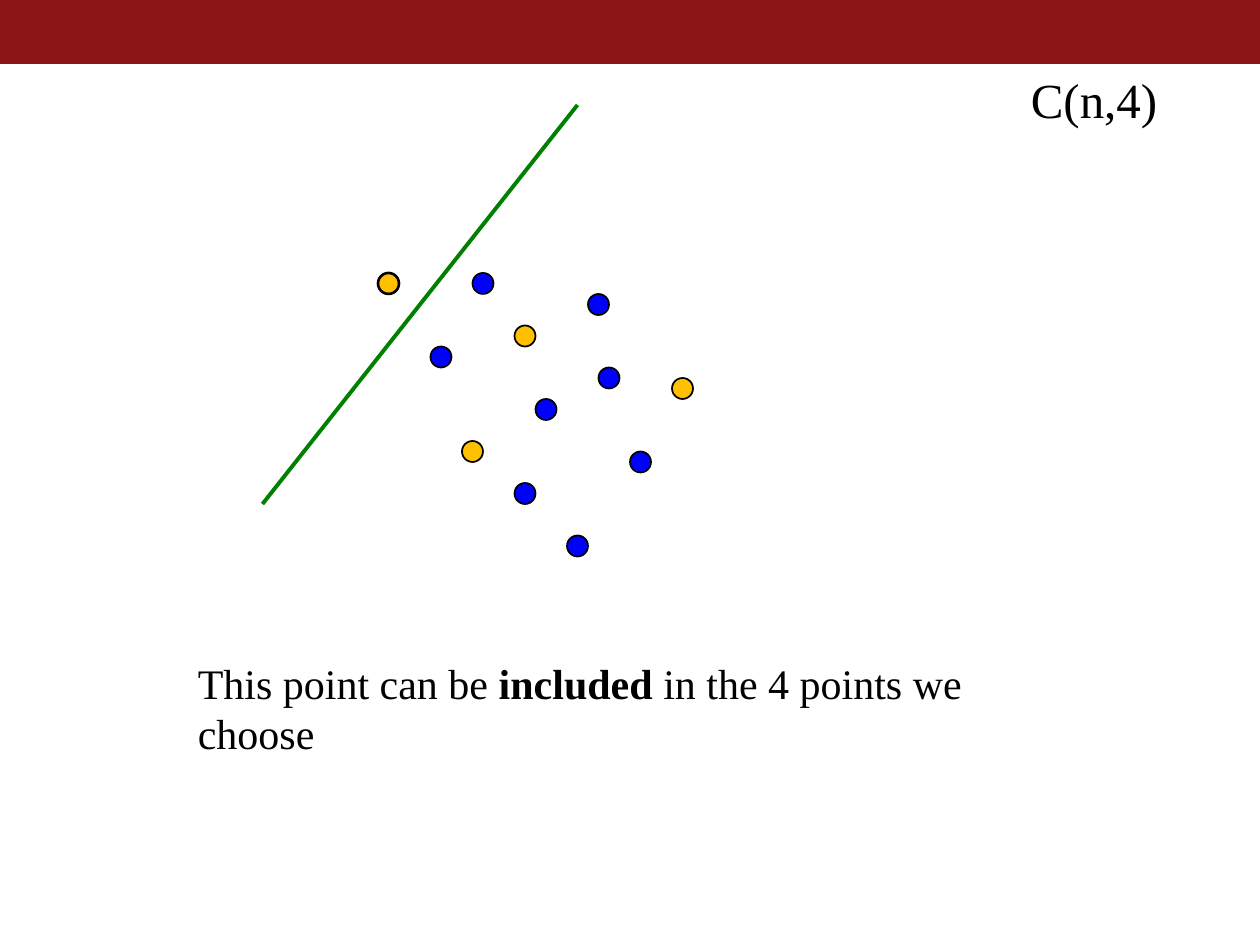
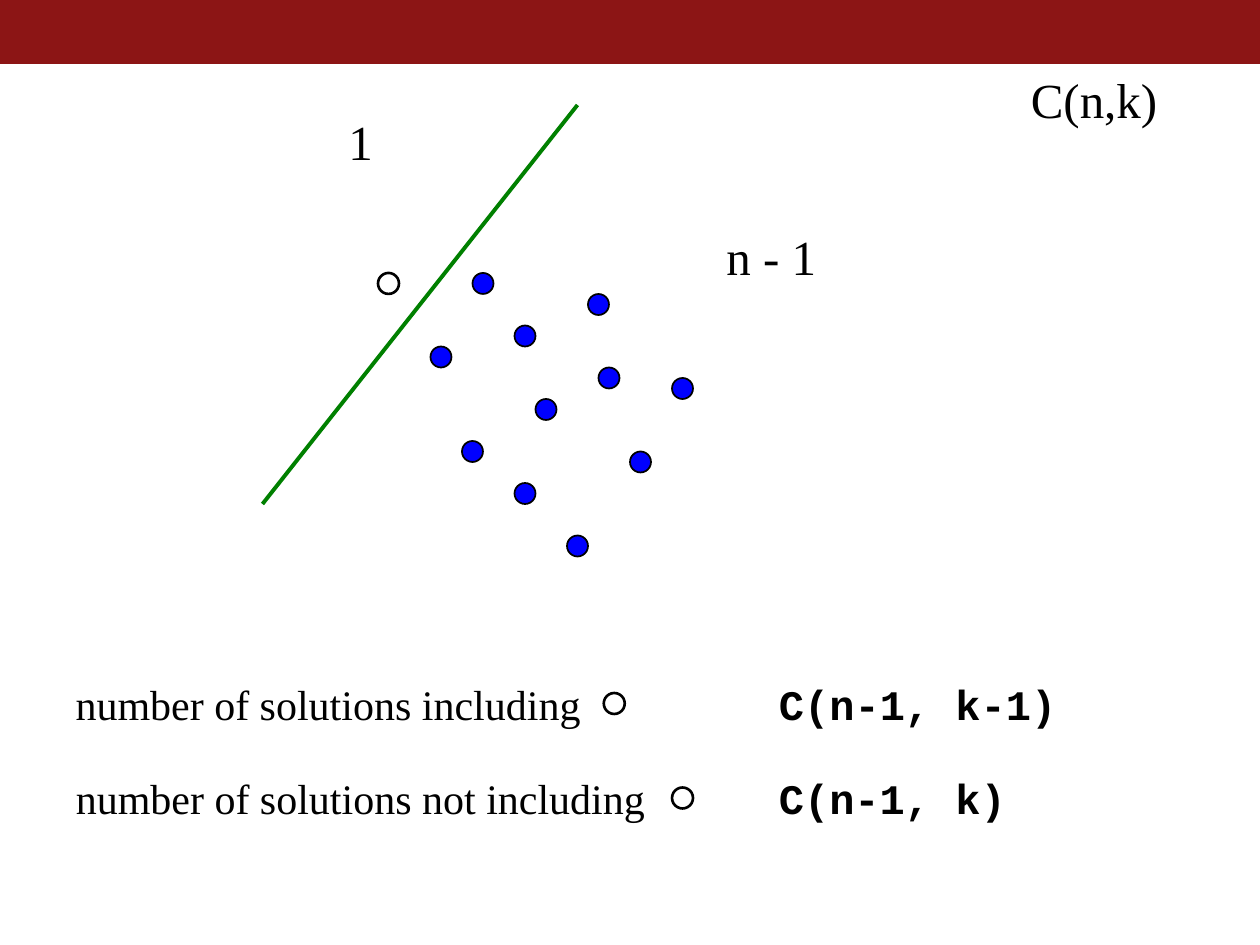
"""Build two slides that count the ways to choose points from a set."""
from pptx import Presentation
from pptx.dml.color import RGBColor
from pptx.enum.shapes import MSO_CONNECTOR, MSO_SHAPE
from pptx.enum.text import MSO_AUTO_SIZE, PP_ALIGN
from pptx.oxml.ns import qn
from pptx.util import Pt
from lxml import etree

BAND, BLUE, GOLD, GREEN, BLACK = "8C1515", "0000FF", "FFC000", "008000", "000000"
SERIF, MONO = "Times New Roman", "Courier New"
DOT = 12
SEPARATED = (216, 156)
POINTS = [(270, 156), (246, 198), (294, 186), (264, 252), (342, 210), (294, 276),
          (336, 168), (324, 306), (384, 216), (306, 228), (360, 258)]
CHOSEN = [(294, 186), (264, 252), (384, 216)]


def add_text(slide, text, left, top, width, size=28, font=SERIF, align=PP_ALIGN.LEFT, wrap=False):
    """Add a text box; pieces between double asterisks are bold."""
    box = slide.shapes.add_textbox(Pt(left), Pt(top), Pt(width), Pt(size + 12))
    frame = box.text_frame
    frame.word_wrap = wrap
    frame.auto_size = MSO_AUTO_SIZE.SHAPE_TO_FIT_TEXT
    paragraph = frame.paragraphs[0]
    paragraph.alignment = align
    for index, piece in enumerate(text.split("**")):
        if piece:
            run = paragraph.add_run()
            run.text = piece
            run.font.name = font
            run.font.size = Pt(size)
            run.font.bold = index % 2 == 1
            run.font.color.rgb = RGBColor.from_string(BLACK)


def add_filled(slide, kind, left, top, width, height, fill=None, line=BLACK, weight=1):
    """Add a preset shape, hollow when no fill is given."""
    shape = slide.shapes.add_shape(kind, Pt(left), Pt(top), Pt(width), Pt(height))
    shape.shadow.inherit = False
    if fill:
        shape.fill.solid()
        shape.fill.fore_color.rgb = RGBColor.from_string(fill)
    else:
        shape.fill.background()
    shape.line.color.rgb = RGBColor.from_string(line)
    shape.line.width = Pt(weight)


presentation = Presentation()
presentation.slide_width, presentation.slide_height = Pt(720), Pt(540)
blank_layout = presentation.slide_layouts[6]

slides = []
for heading, chosen, separated_fill in [("C(n,4)", CHOSEN, GOLD), ("C(n,k)", [], None)]:
    slide = presentation.slides.add_slide(blank_layout)
    slides.append(slide)
    add_filled(slide, MSO_SHAPE.RECTANGLE, -0.75, 0, 720.75, 36, BAND, BAND, 0.75)
    for point in POINTS:
        add_filled(slide, MSO_SHAPE.OVAL, *point, DOT, DOT, GOLD if point in chosen else BLUE)
    divider = slide.shapes.add_connector(MSO_CONNECTOR.STRAIGHT, Pt(150), Pt(288), Pt(330), Pt(60))
    divider.line.color.rgb = RGBColor.from_string(GREEN)
    divider.line.width = Pt(2.25)
    etree.SubElement(divider._element.spPr, qn("a:effectLst"))
    add_filled(slide, MSO_SHAPE.OVAL, *SEPARATED, DOT, DOT, separated_fill, weight=1.5)
    add_text(slide, heading, 582, 36, 94)

included_slide, formula_slide = slides
add_text(included_slide, "This point can be **included** in the 4 points we choose",
         106, 372, 520, size=24, wrap=True)

add_text(formula_slide, "1", 192, 60, 29)
add_text(formula_slide, "n - 1", 408, 126, 65.5)
cases = [("number of solutions including", 303, 345, "C(n-1, k-1)", 173),
         ("number of solutions not including", 340, 384, "C(n-1, k)", 144)]
for row, (label, label_width, dot_left, formula, formula_width) in enumerate(cases):
    top = 384 + 54 * row
    add_text(formula_slide, label, 36, top, label_width, size=24, align=PP_ALIGN.CENTER)
    add_filled(formula_slide, MSO_SHAPE.OVAL, dot_left, top + DOT, DOT, DOT, weight=1.5)
    add_text(formula_slide, f"**{formula}**", 438, top, formula_width, size=24, font=MONO)

presentation.save("out.pptx")
